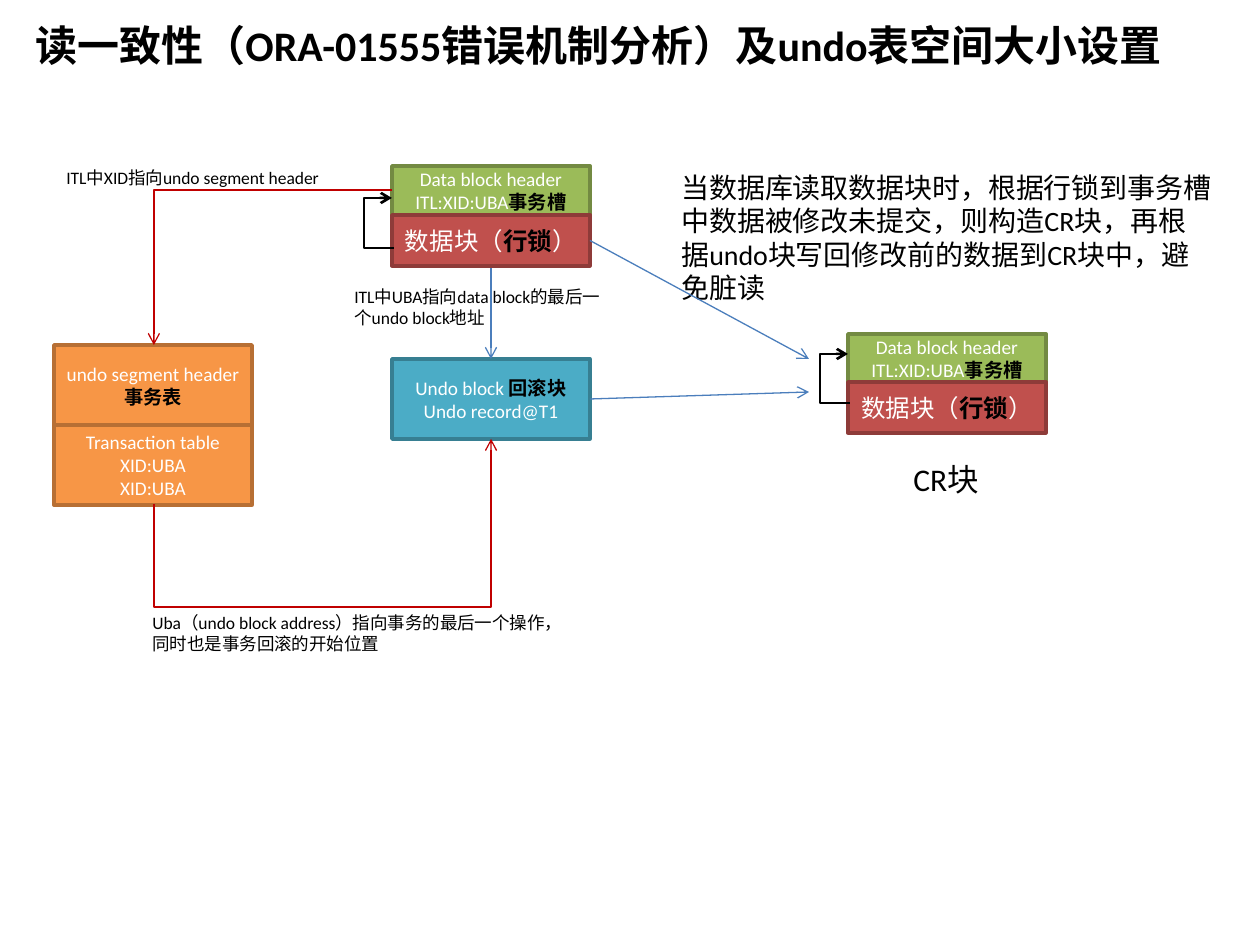
import pptx
import pptx.dml.color
import pptx.enum.shapes
import pptx.enum.text
import pptx.oxml.ns
import pptx.util
from lxml import etree

EMU_PER_PX = 914400 / 126
FONT = "Calibri"
BLOCK_W = 198
HEADER_H, ROWS_H, UNDO_H = 49, 51, 80
TOP, LEFT, BOTTOM, RIGHT = 0, 1, 2, 3
COLORS = {
    "black": "000000", "white": "FFFFFF",
    "header": "9BBB59", "header_edge": "738A42",
    "rows": "C0504D", "rows_edge": "8E3B39",
    "undo": "4BACC6", "undo_edge": "377F92",
    "segment": "F79646", "segment_edge": "B76F34",
    "read": "4B7EBC", "pointer": "C00000",
}


def px(length):
    return pptx.util.Emu(round(length * EMU_PER_PX))


def rgb(name):
    return pptx.dml.color.RGBColor.from_string(COLORS[name])


def add_run(paragraph, text, size, color, bold=False):
    run = paragraph.add_run()
    run.text = text
    run.font.name = FONT
    run.font.size = pptx.util.Pt(size)
    run.font.bold = bold
    run.font.color.rgb = rgb(color)


def add_label(slide, x, y, w, h, text, size, bold=False):
    label = slide.shapes.add_textbox(px(x), px(y), px(w), px(h))
    frame = label.text_frame
    frame.word_wrap = True
    frame.auto_size = pptx.enum.text.MSO_AUTO_SIZE.SHAPE_TO_FIT_TEXT
    add_run(frame.paragraphs[0], text, size, "black", bold)


def add_block(slide, x, y, h, kind, lines, size=11):
    """Draw a filled block; each line is a list of (text, is_key_term)."""
    block = slide.shapes.add_shape(
        pptx.enum.shapes.MSO_SHAPE.RECTANGLE, px(x), px(y), px(BLOCK_W), px(h))
    block.shadow.inherit = False
    block.fill.solid()
    block.fill.fore_color.rgb = rgb(kind)
    block.line.color.rgb = rgb(kind + "_edge")
    block.line.width = pptx.util.Pt(2)
    frame = block.text_frame
    frame.word_wrap = True
    frame.vertical_anchor = pptx.enum.text.MSO_ANCHOR.MIDDLE
    for index, line in enumerate(lines):
        paragraph = frame.add_paragraph() if index else frame.paragraphs[0]
        paragraph.alignment = pptx.enum.text.PP_ALIGN.CENTER
        for text, is_key_term in line:
            add_run(paragraph, text, size, "black" if is_key_term else "white", is_key_term)
    return block


def add_block_header(slide, x, y):
    return add_block(slide, x, y, HEADER_H, "header", [
        [("Data block header", False)],
        [("ITL:XID:UBA", False), ("事务槽", True)],
    ])


def add_block_rows(slide, x, y):
    return add_block(slide, x, y, ROWS_H, "rows", [
        [("数据块（", False), ("行锁", True), ("）", False)],
    ], size=14)


def add_arrow(slide, begin, end, color, width=0.75, elbow=False):
    kinds = pptx.enum.shapes.MSO_CONNECTOR
    arrow = slide.shapes.add_connector(
        kinds.ELBOW if elbow else kinds.STRAIGHT, *map(px, begin + end))
    arrow.line.color.rgb = rgb(color)
    arrow.line.width = pptx.util.Pt(width)
    qn = pptx.oxml.ns.qn
    etree.SubElement(arrow.line._get_or_add_ln(), qn("a:tailEnd"), type="arrow")
    etree.SubElement(arrow._element.spPr, qn("a:effectLst"))
    return arrow


def bend(arrow, preset="bentConnector3", ratio=None, rotation=0):
    """Set an elbow's preset, where it turns (share of its width) and its rotation."""
    qn = pptx.oxml.ns.qn
    properties = arrow._element.spPr
    geometry = properties.find(qn("a:prstGeom"))
    geometry.set("prst", preset)
    if ratio is not None:
        guides = geometry.find(qn("a:avLst"))
        if guides is None:
            guides = etree.SubElement(geometry, qn("a:avLst"))
        etree.SubElement(guides, qn("a:gd"), name="adj1", fmla=f"val {round(ratio * 100000)}")
    if rotation:
        properties.find(qn("a:xfrm")).set("rot", str(rotation * 60000))


def add_lock_loop(slide, block_x, rows_y, slot_y):
    """Lead from the row lock round the left of the block to its transaction slot."""
    inset, reach = 2, 30
    loop = add_arrow(slide, (block_x + inset, rows_y), (block_x, slot_y), "black", 1.5, elbow=True)
    bend(loop, ratio=reach / inset)


def main():
    presentation = pptx.Presentation()
    presentation.slide_width = px(1260)
    presentation.slide_height = px(945)
    slide = presentation.slides.add_slide(presentation.slide_layouts[6])

    add_label(slide, 23, 13, 1222, 63,
              "读一致性（ORA-01555错误机制分析）及undo表空间大小设置", 24, bold=True)

    data_x, cr_x, segment_x, segment_y = 392, 848, 54, 345
    data_header = add_block_header(slide, data_x, 166)
    undo = add_block(slide, data_x, 359, UNDO_H, "undo", [
        [("Undo block ", False), ("回滚块", True)],
        [("Undo record@T1", False)],
    ])
    undo_pointer = add_arrow(slide, (491, 215), (491, 359), "read")
    undo_pointer.begin_connect(data_header, BOTTOM)
    undo_pointer.end_connect(undo, TOP)

    add_block(slide, segment_x, segment_y, UNDO_H, "segment", [
        [("undo segment header", False)],
        [("事务表", True)],
    ])
    add_block(slide, segment_x, segment_y + UNDO_H, UNDO_H, "segment", [
        [("Transaction table", False)],
        [("XID:UBA", False)],
        [("XID:UBA", False)],
    ])

    add_label(slide, 54, 161, 287, 34, "ITL中XID指向undo segment header", 10)
    add_label(slide, 342, 280, 287, 55, "ITL中UBA指向data block的最后一个undo block地址", 10)
    add_label(slide, 140, 606, 432, 55,
              "Uba（undo block address）指向事务的最后一个操作，同时也是事务回滚的开始位置", 10)

    xid_pointer = add_arrow(slide, (data_x, 190), (154, 345), "pointer", elbow=True)
    bend(xid_pointer, "bentConnector2")
    # Given as it lies before the quarter turn: 65 px rise, 337 px run, 103 px drop.
    uba_pointer = add_arrow(slide, (355, 640), (290, 303), "pointer", elbow=True)
    bend(uba_pointer, ratio=-103 / 65, rotation=90)

    data_rows = add_block_rows(slide, data_x, 215)
    add_lock_loop(slide, data_x, 248, 198)

    add_label(slide, 669, 164, 556, 149,
              "当数据库读取数据块时，根据行锁到事务槽中数据被修改未提交，则构造CR块，"
              "再根据undo块写回修改前的数据到CR块中，避免脏读", 16)
    for source, begin, end in (
        (data_rows, (590, 241), (809, 359)),
        (undo, (590, 399), (809, 392)),
    ):
        add_arrow(slide, begin, end, "read").begin_connect(source, RIGHT)

    add_label(slide, 901, 454, 94, 53, "CR块", 18)
    add_block_header(slide, cr_x, 334)
    add_block_rows(slide, cr_x, 382)
    add_lock_loop(slide, cr_x, 403, 354)

    presentation.save("out.pptx")


if __name__ == "__main__":
    main()
